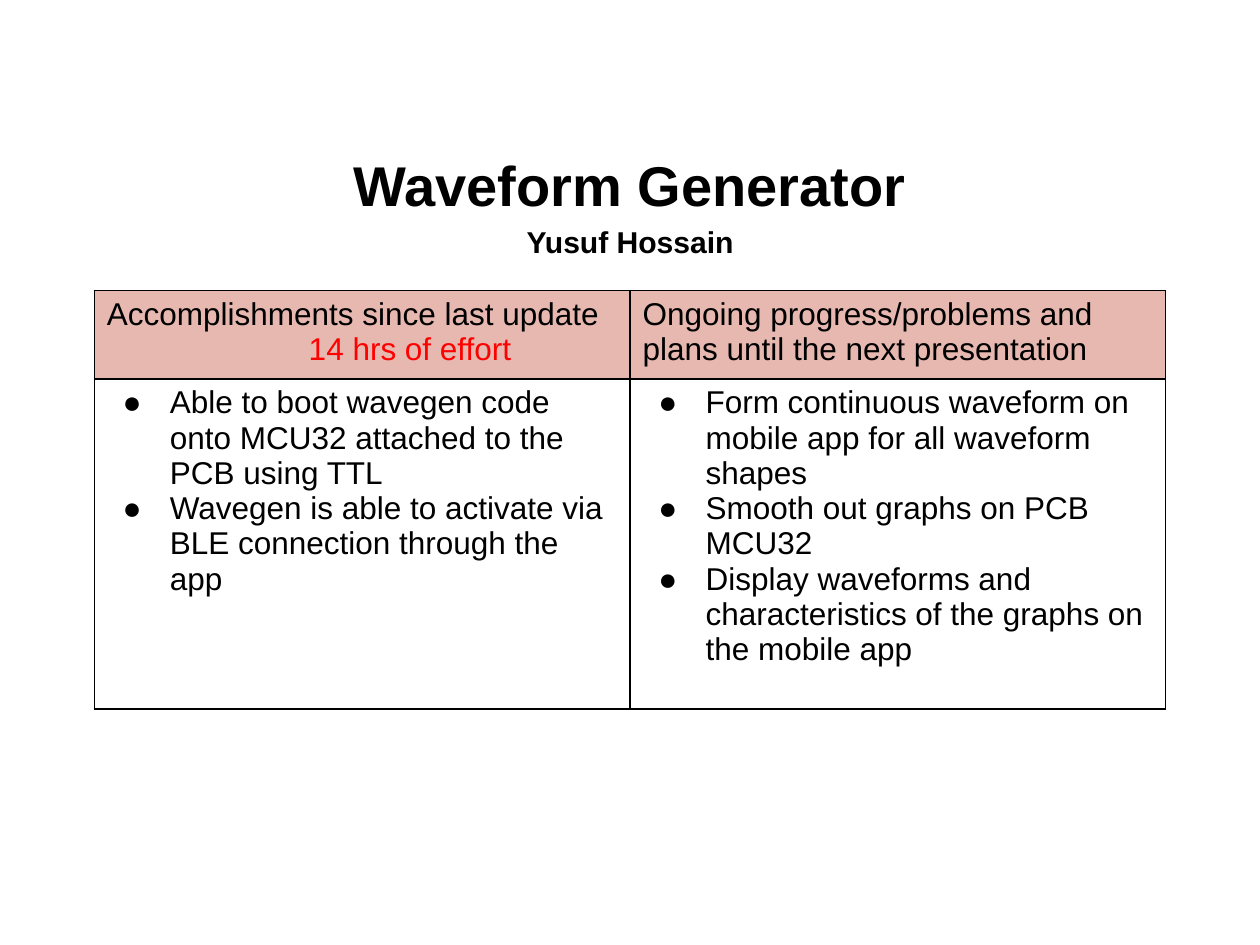
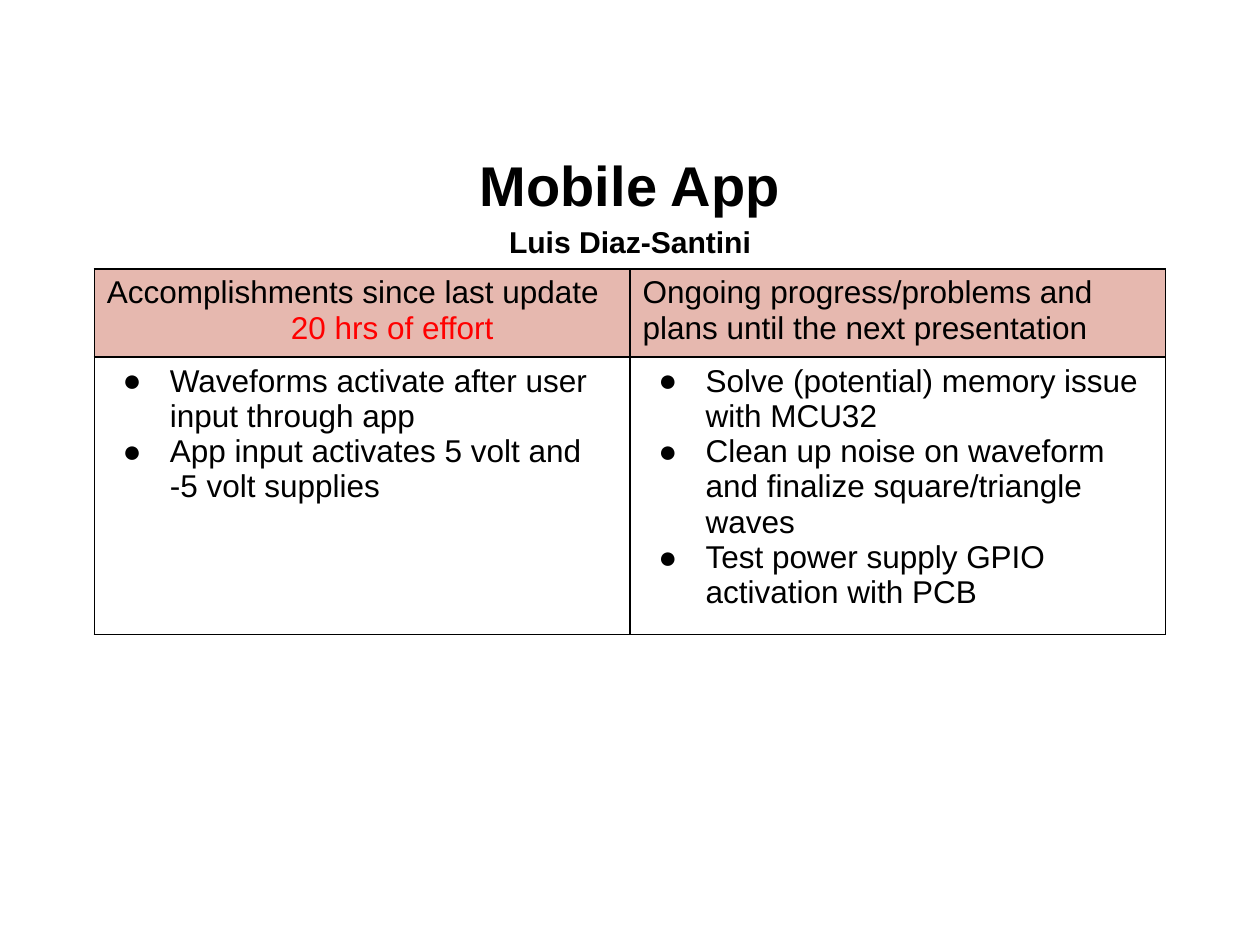
from lxml.etree import SubElement
from pptx import Presentation
from pptx.dml.color import RGBColor
from pptx.enum.text import MSO_ANCHOR, PP_ALIGN
from pptx.oxml.ns import qn
from pptx.util import Cm, Pt

# Shared look
FONT = "Arial"
BLACK, RED, HEADER_PINK = "000000", "FF0000", "E6B8AF"
COLUMN_WIDTH = Cm(10.8)
HEADER_HEIGHT = Cm(1.78)
BULLET_INDENT, BULLET_HANG = Cm(1.27), Cm(0.95)
DONE_HEADING = "Accomplishments since last update"
PLANS_HEADING = "Ongoing progress/problems and plans until the next presentation"


def color(hex_code):
    return RGBColor.from_string(hex_code)


def style(paragraph, size, hex_code=BLACK, bold=False):
    font = paragraph.font
    font.name, font.size, font.bold = FONT, Pt(size), bold
    font.color.rgb = color(hex_code)


def write_lines(frame, lines):
    """Put each line in its own paragraph and return the paragraphs."""
    paragraphs = []
    for index, line in enumerate(lines):
        paragraph = frame.add_paragraph() if index else frame.paragraphs[0]
        paragraph.text = line
        paragraphs.append(paragraph)
    return paragraphs


def add_bullet(paragraph):
    properties = paragraph._p.get_or_add_pPr()
    properties.set("marL", str(BULLET_INDENT))
    properties.set("indent", str(-BULLET_HANG))
    bullet_color = SubElement(properties, qn("a:buClr"))
    SubElement(bullet_color, qn("a:srgbClr"), val=BLACK)
    SubElement(properties, qn("a:buFont"), typeface=FONT)
    SubElement(properties, qn("a:buChar"), char="●")


def add_borders(cell):
    properties = cell._tc.get_or_add_tcPr()
    for position, side in enumerate(("lnL", "lnR", "lnT", "lnB")):
        border = properties.makeelement(qn(f"a:{side}"), {"w": str(Pt(1))})
        line_fill = SubElement(border, qn("a:solidFill"))
        SubElement(line_fill, qn("a:srgbClr"), val=BLACK)
        properties.insert(position, border)


def add_title(slide, topic, presenter):
    box = slide.shapes.add_textbox(Cm(1.27), Cm(2.91), Cm(22.86), Cm(2.24))
    frame = box.text_frame
    frame.word_wrap = True
    frame.vertical_anchor = MSO_ANCHOR.MIDDLE
    for paragraph, size in zip(write_lines(frame, (topic, presenter)), (32, 17.2)):
        paragraph.alignment = PP_ALIGN.CENTER
        paragraph.line_spacing = 1.15
        style(paragraph, size, bold=True)


def fill_header(cell, lines):
    cell.fill.solid()
    cell.fill.fore_color.rgb = color(HEADER_PINK)
    paragraphs = write_lines(cell.text_frame, lines)
    for paragraph in paragraphs:
        style(paragraph, 18)
    return paragraphs


def fill_body(cell, items):
    cell.fill.background()
    for paragraph in write_lines(cell.text_frame, items):
        add_bullet(paragraph)
        style(paragraph, 18)


def add_status_table(slide, top, body_height, effort, effort_indent, done, plans):
    table = slide.shapes.add_table(
        2, 2, Cm(1.9), top, 2 * COLUMN_WIDTH, HEADER_HEIGHT + body_height).table
    table.first_row = table.horz_banding = False
    for column in table.columns:
        column.width = COLUMN_WIDTH
    table.rows[0].height, table.rows[1].height = HEADER_HEIGHT, body_height

    # Header row, with the hours set in red
    hours = fill_header(table.cell(0, 0), (DONE_HEADING, effort))[1]
    hours._p.get_or_add_pPr().set("marL", str(effort_indent))
    style(hours, 18, RED)
    fill_header(table.cell(0, 1), (PLANS_HEADING,))

    # Bulleted row
    fill_body(table.cell(1, 0), done)
    fill_body(table.cell(1, 1), plans)
    for cell in table.iter_cells():
        add_borders(cell)


def main():
    deck = Presentation()
    deck.slide_width, deck.slide_height = Cm(25.4), Cm(19.05)
    blank = deck.slide_layouts[6]

    # Waveform generator
    waveform = deck.slides.add_slide(blank)
    add_title(waveform, "Waveform Generator", "Yusuf Hossain")
    add_status_table(
        waveform, Cm(5.86), Cm(6.65), "14 hrs of effort", Cm(4.07),
        done=("Able to boot wavegen code onto MCU32 attached to the PCB using TTL",
              "Wavegen is able to activate via BLE connection through the app"),
        plans=("Form continuous waveform on mobile app for all waveform shapes",
               "Smooth out graphs on PCB MCU32",
               "Display waveforms and characteristics of the graphs on the mobile app"))

    # Mobile app
    mobile = deck.slides.add_slide(blank)
    add_title(mobile, "Mobile App", "Luis Diaz-Santini")
    add_status_table(
        mobile, Cm(5.42), Cm(4.83), "20 hrs of effort", Cm(3.71),
        done=("Waveforms activate after user input through app",
              "App input activates 5 volt and -5 volt supplies"),
        plans=("Solve (potential) memory issue with MCU32",
               "Clean up noise on waveform and finalize square/triangle waves",
               "Test power supply GPIO activation with PCB"))

    deck.save("out.pptx")


if __name__ == "__main__":
    main()
